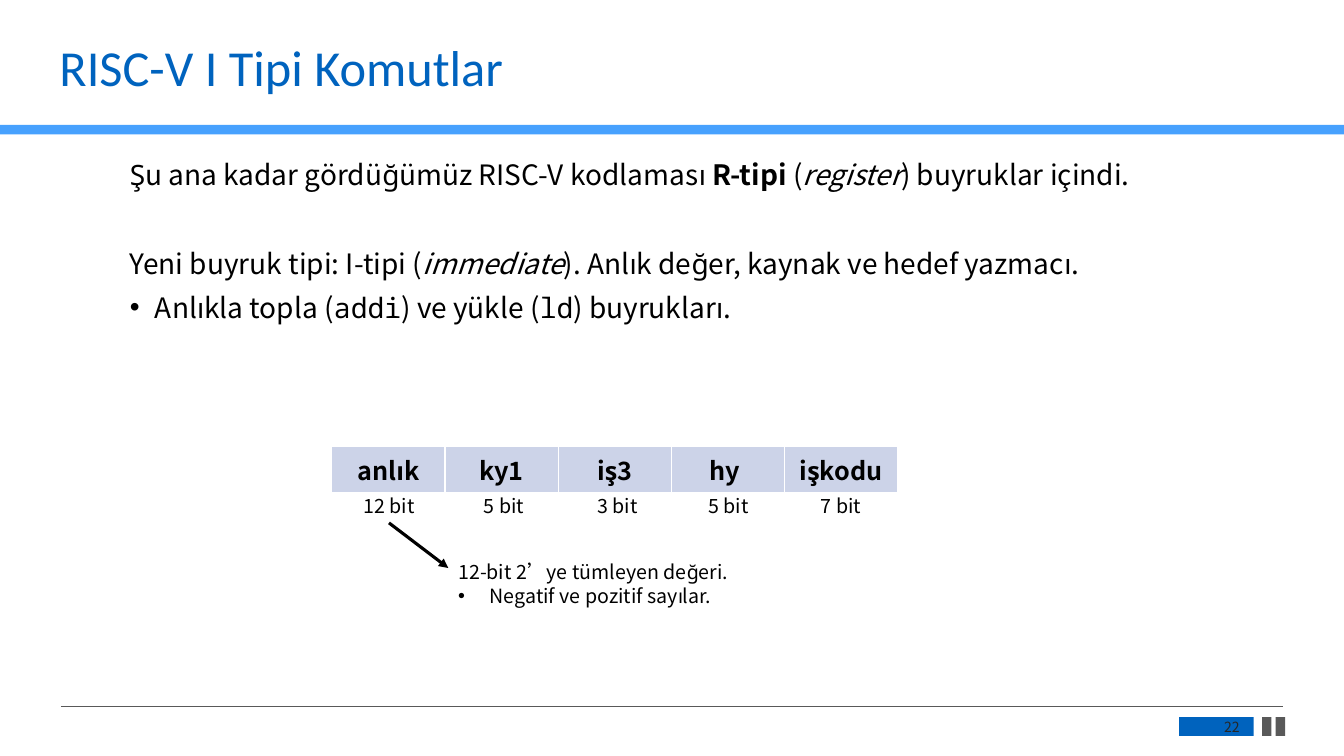
from lxml.etree import SubElement
from pptx import Presentation
from pptx.dml.color import RGBColor
from pptx.enum.shapes import MSO_CONNECTOR, MSO_SHAPE
from pptx.enum.text import MSO_ANCHOR, MSO_AUTO_SIZE, PP_ALIGN
from pptx.oxml.ns import qn
from pptx.util import Pt

PX = 9525  # 96 px to the inch
SANS, MONO, HEAD = "Noto Sans CJK SC", "Noto Sans Mono", "Calibri"
BLUE, SKY, GREY, PALE = "0063BE", "47A1FE", "595959", "CCD3E8"
BLACK, WHITE, DARK = "000000", "FFFFFF", "262626"


def px(*sizes):
    return [size * PX for size in sizes]


def rgb(code):
    return RGBColor.from_string(code)


def put(item, values):
    for name, value in values.items():
        setattr(item, name, value)


class Page:
    def __init__(self, deck, layout):
        self.slide = deck.slides.add_slide(layout)
        self.shapes = self.slide.shapes
        self.font = {"name": SANS, "size": Pt(14), "bold": False, "italic": False}

    def para(self, para, runs, font=None, form=None, color=BLACK, bullet=0):
        """Fill one paragraph; runs is a string or (text, font values) pairs."""
        put(para, form or {})
        if isinstance(runs, str):
            runs = [(runs, {})]
        for text, extra in runs:
            run = para.add_run()
            run.text = text
            put(run.font, {**self.font, **(font or {}), **extra})
            run.font.color.rgb = rgb(color)
        prop = para._p.get_or_add_pPr()
        prop.set("marL", str(bullet * PX))
        prop.set("indent", str(-bullet * PX))
        if bullet:
            SubElement(prop, qn("a:buFont")).set("typeface", "Arial")
            SubElement(prop, qn("a:buChar")).set("char", "•")
        else:
            SubElement(prop, qn("a:buNone"))

    def fill(self, shape, paras, frame=None):
        """Fill a shape with paragraphs, each a dict of para() arguments."""
        body = shape.text_frame
        put(body, {"word_wrap": True, "auto_size": MSO_AUTO_SIZE.NONE,
                   "vertical_anchor": MSO_ANCHOR.TOP, **(frame or {})})
        for i, args in enumerate(paras):
            self.para(body.add_paragraph() if i else body.paragraphs[0], **args)
        return shape

    def holder(self, index, box, paras):
        shape = self.slide.placeholders[index]
        put(shape, dict(zip(("left", "top", "width", "height"), px(*box))))
        return self.fill(shape, paras)

    def text(self, box, paras, frame=None):
        return self.fill(self.shapes.add_textbox(*px(*box)), paras, frame)

    def rect(self, box, color):
        shape = self.shapes.add_shape(MSO_SHAPE.RECTANGLE, *px(*box))
        shape.shadow.inherit = False
        shape.fill.solid()
        shape.fill.fore_color.rgb = rgb(color)
        shape.line.fill.background()

    def line(self, ends, color, width, arrow=False):
        link = self.shapes.add_connector(MSO_CONNECTOR.STRAIGHT, *px(*ends))
        link.line.color.rgb = rgb(color)
        link.line.width = Pt(width)
        if arrow:
            SubElement(link.line._get_or_add_ln(), qn("a:tailEnd")).set("type", "triangle")
        SubElement(link._element.spPr, qn("a:effectLst"))
        return link

    def table(self, box, rows, font):
        table = self.shapes.add_table(len(rows), len(rows[0]), *px(*box)).table
        put(table, {"first_row": False, "horz_banding": False})
        for r, row in enumerate(rows):
            for c, text in enumerate(row):
                cell = table.cell(r, c)
                self.para(cell.text_frame.paragraphs[0], text, font,
                          {"alignment": PP_ALIGN.CENTER})
                self.border(cell)
                cell.fill.solid()
                cell.fill.fore_color.rgb = rgb(PALE)

    def border(self, cell):
        prop = cell._tc.get_or_add_tcPr()
        for side in ("lnL", "lnR", "lnT", "lnB"):
            edge = SubElement(prop, qn("a:" + side))
            edge.set("w", str(Pt(1)))
            paint = SubElement(edge, qn("a:solidFill"))
            SubElement(paint, qn("a:srgbClr")).set("val", WHITE)


def main():
    deck = Presentation()
    put(deck, dict(zip(("slide_width", "slide_height"), px(1280, 720))))
    page = Page(deck, deck.slide_layouts[1])

    # Header bar and footer
    page.rect((0, 119, 1280, 9), SKY)
    page.line((58, 673, 1222, 673), GREY, 0.5)
    for left, width, color in ((1123, 71, BLUE), (1202, 9, GREY), (1215, 9, GREY)):
        page.rect((left, 683, width, 18), color)
    page.text((1127, 684, 63, 16),
              [{"runs": "22", "font": {"size": Pt(10)}, "color": DARK,
                "form": {"alignment": PP_ALIGN.RIGHT}}],
              {"vertical_anchor": MSO_ANCHOR.MIDDLE})

    # Title
    page.holder(0, (47, 36, 1169, 61), [
        {"runs": "RISC-V I Tipi Komutlar", "color": BLUE,
         "font": {"name": HEAD, "size": Pt(36)},
         "form": {"alignment": PP_ALIGN.LEFT, "line_spacing": 0.9}}])

    # Body list
    bold, slant, code = {"bold": True}, {"italic": True}, {"name": MONO}
    near = {"line_spacing": Pt(21.5), "space_before": Pt(10)}
    far = {**near, "space_before": Pt(41.5)}
    body = [
        ([("Şu ana kadar gördüğümüz RISC-V kodlaması ", {}), ("R-tipi ", bold),
          ("(", {}), ("register", slant), (") buyruklar içindi.", {})], near, 0),
        ([("Yeni buyruk tipi: I-tipi (", {}), ("immediate", slant),
          ("). Anlık değer, kaynak ve hedef yazmacı.", {})], far, 0),
        ([("Anlıkla topla (", {}), ("addi", code), (") ve yükle (", {}),
          ("ld", code), (") buyrukları.", {})], near, 24),
    ]
    page.holder(1, (114, 149, 1076, 545), [
        {"runs": runs, "font": {"size": Pt(20)}, "form": form, "bullet": bullet}
        for runs, form, bullet in body])

    # Instruction fields
    page.table((316, 425, 539, 39), [["anlık", "ky1", "iş3", "hy ", "işkodu"]],
               {"size": Pt(18), "bold": True})

    # Field widths
    tight = {"line_spacing": Pt(17)}
    grow = {"auto_size": MSO_AUTO_SIZE.SHAPE_TO_FIT_TEXT}
    bits = [page.text((left, 465, width, 33),
                      [{"runs": f"{count} bit",
                        "form": {**tight, "alignment": PP_ALIGN.CENTER}}], grow)
            for count, left, width in ((12, 323, 95), (5, 445, 70), (3, 553, 70),
                                       (5, 659, 70), (7, 766, 70))]

    # Note on the immediate field
    arrow = page.line((372, 496, 427, 541), BLACK, 2.25, arrow=True)
    arrow.begin_connect(bits[0], 2)
    page.text((427, 528, 580, 55), [
        {"runs": "12-bit 2’ye tümleyen değeri.", "form": tight},
        {"runs": "Negatif ve pozitif sayılar.", "form": tight, "bullet": 30}], grow)

    deck.save("out.pptx")


if __name__ == "__main__":
    main()
